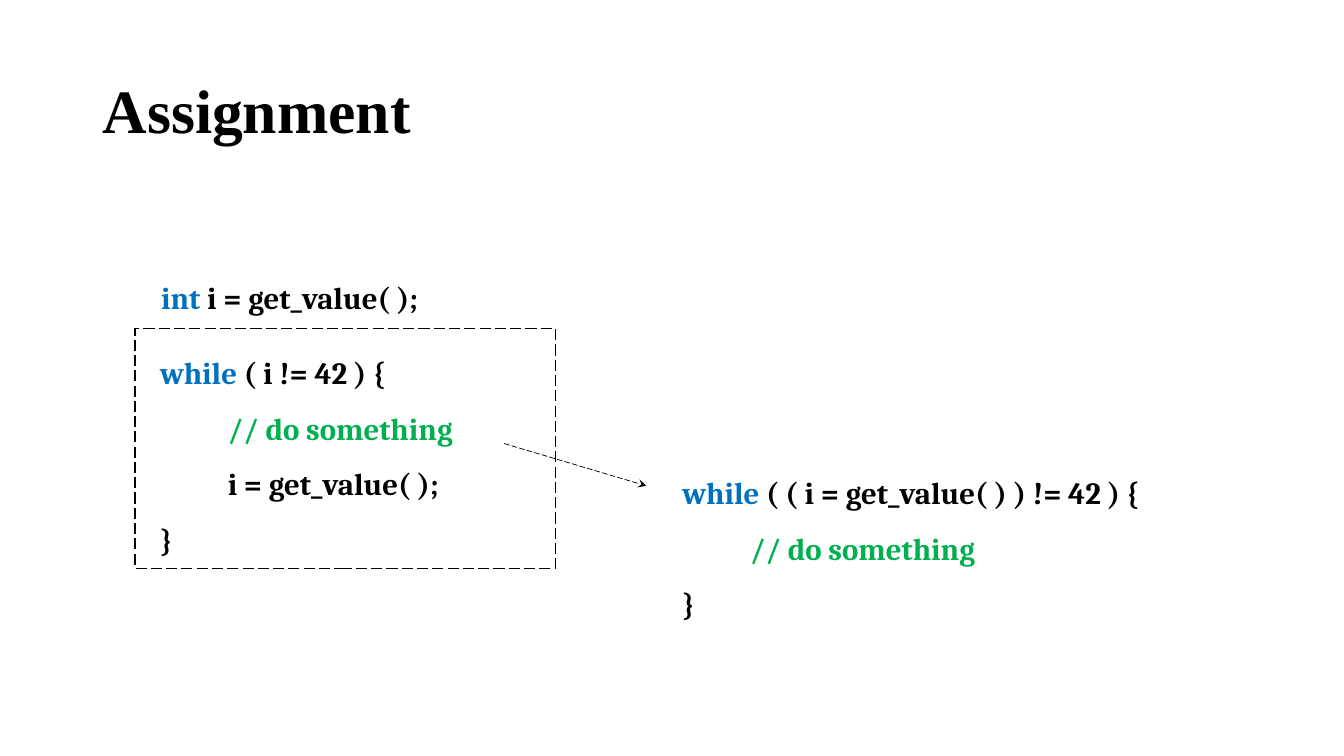
import pptx
import pptx.util
import pptx.dml.color
import pptx.enum.dml
import pptx.enum.shapes
import pptx.enum.text
from lxml import etree
from pptx.util import Inches, Pt

BLACK, KEYWORD, COMMENT = "000000", "0070C0", "00B050"
INDENT = "          "
DO_SOMETHING = [(INDENT + "// do something", COMMENT)]
CLOSE = [("}", BLACK)]

DECLARATION = [[("int ", KEYWORD), ("i = get_value( );", BLACK)]]
LONG_LOOP = [
    [("while", KEYWORD), (" ( i != 42 ) {", BLACK)],
    DO_SOMETHING,
    [(INDENT + "i = get_value( );", BLACK)],
    CLOSE,
]
SHORT_LOOP = [
    [("while", KEYWORD), (" ( ( i = get_value( ) ) != 42 ) {", BLACK)],
    DO_SOMETHING,
    CLOSE,
]


def rgb(color):
    return pptx.dml.color.RGBColor.from_string(color)


def add_text(s, box, lines, size, font, paragraph_format, anchor):
    """Place lines, each a list of (text, color) runs, in a text box."""
    tf = s.shapes.add_textbox(*map(Inches, box)).text_frame
    tf.word_wrap = True
    tf.vertical_anchor = anchor
    for i, line in enumerate(lines):
        p = tf.paragraphs[0] if i == 0 else tf.add_paragraph()
        for name, value in paragraph_format.items():
            setattr(p, name, value)
        for text, color in line:
            r = p.add_run()
            r.text = text
            for name, value in {"name": font, "size": Pt(size), "bold": True}.items():
                setattr(r.font, name, value)
            r.font.color.rgb = rgb(color)


def add_title(s, box, text):
    add_text(s, box, [[(text, BLACK)]], 44, "Times New Roman",
             {"line_spacing": 0.9}, pptx.enum.text.MSO_ANCHOR.MIDDLE)


def add_code(s, box, lines):
    add_text(s, box, lines, 22, "Cambria",
             {"line_spacing": 1.5, "alignment": pptx.enum.text.PP_ALIGN.JUSTIFY},
             pptx.enum.text.MSO_ANCHOR.TOP)


def dash_line(line, width):
    line.color.rgb = rgb(BLACK)
    line.width = Pt(width)
    line.dash_style = pptx.enum.dml.MSO_LINE.LONG_DASH


def add_frame(s, box):
    sp = s.shapes.add_shape(pptx.enum.shapes.MSO_SHAPE.RECTANGLE, *map(Inches, box))
    sp.shadow.inherit = False
    sp.fill.background()
    dash_line(sp.line, 1)


def add_arrow(s, start, end):
    arrow = s.shapes.add_connector(pptx.enum.shapes.MSO_CONNECTOR.STRAIGHT,
                                   *map(Inches, start + end))
    dash_line(arrow.line, 0.5)
    ns = pptx.oxml.ns.qn
    etree.SubElement(arrow.line._get_or_add_ln(), ns("a:tailEnd"), type="stealth")
    etree.SubElement(arrow._element.spPr, ns("a:effectLst"))


def main():
    prs = pptx.Presentation()
    prs.slide_width, prs.slide_height = Inches(13.33), Inches(7.5)
    s = prs.slides.add_slide(prs.slide_layouts[6])
    add_title(s, (0.92, 0.4, 11.5, 1.45), "Assignment")
    add_code(s, (1.5, 2.53, 3.9, 0.59), DECLARATION)
    add_code(s, (1.49, 3.28, 4.92, 2.25), LONG_LOOP)
    add_frame(s, (1.34, 3.26, 4.17, 2.38))
    add_arrow(s, (5, 4.4), (6.41, 4.82))
    add_code(s, (6.67, 4.47, 4.92, 1.7), SHORT_LOOP)
    prs.save("out.pptx")


if __name__ == "__main__":
    main()
